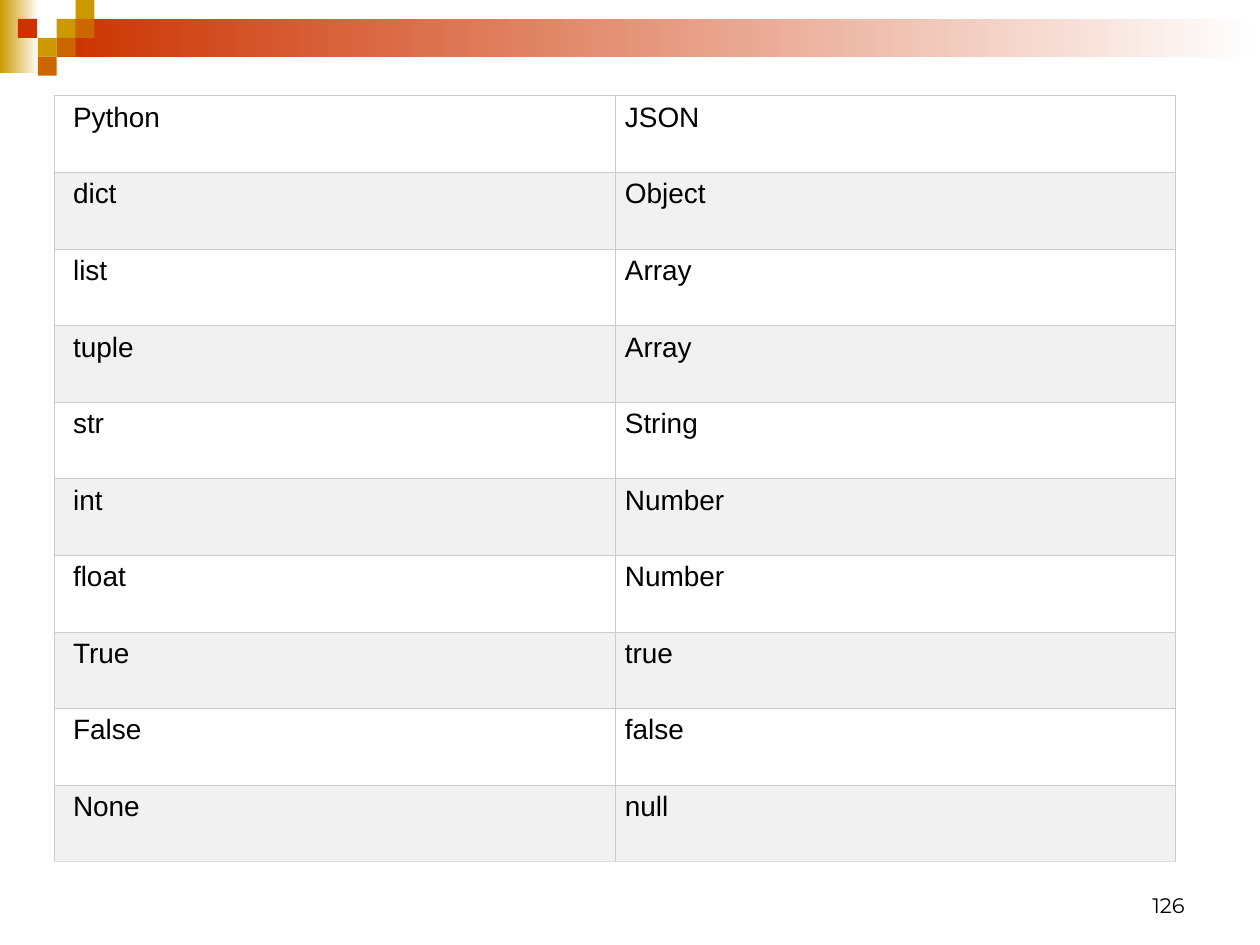
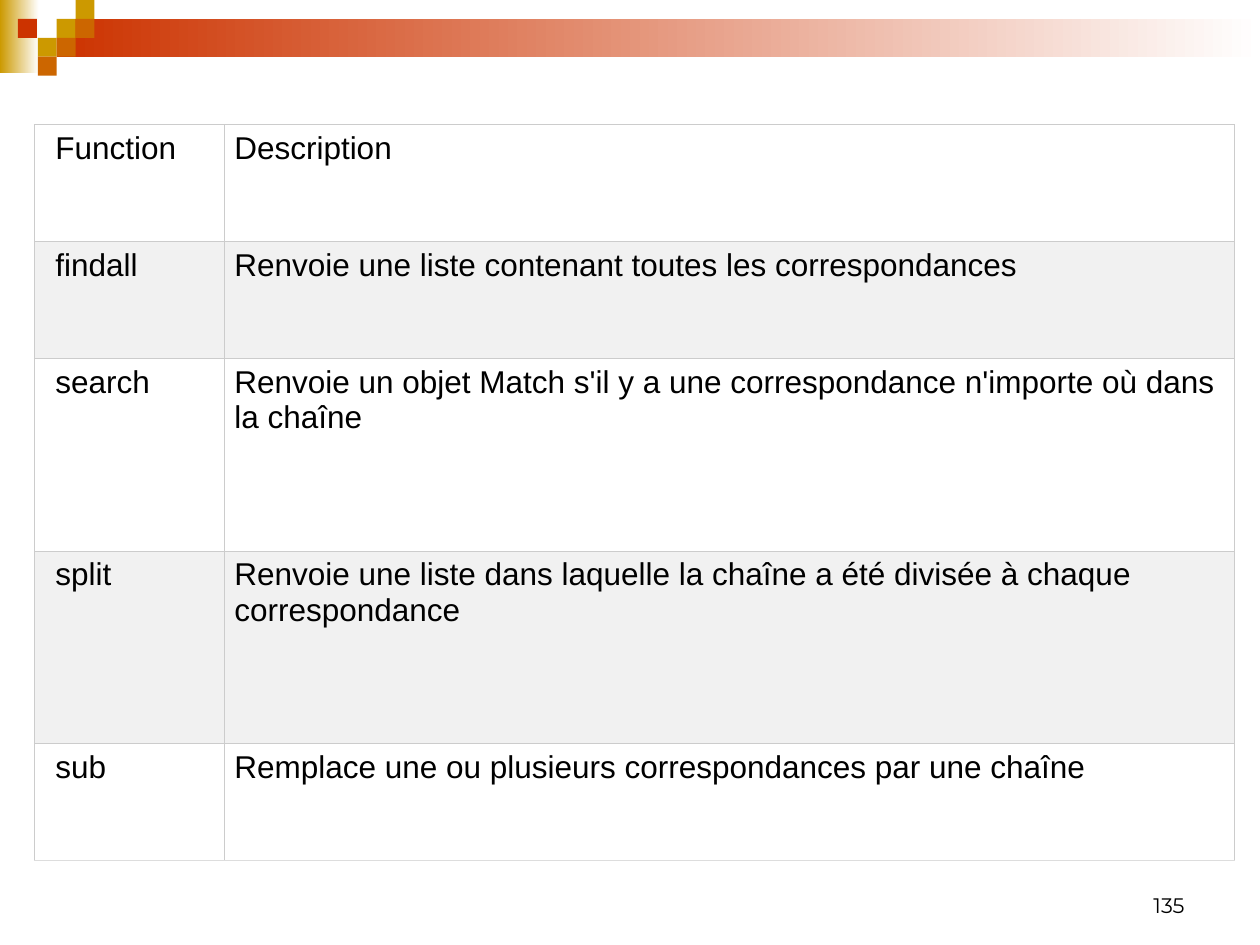
import pptx
import pptx.dml.color
import pptx.enum.shapes
import pptx.enum.text
import pptx.util
import pptx.oxml
import pptx.oxml.ns

RGBColor = pptx.dml.color.RGBColor
GOLD = RGBColor(0xCC, 0x99, 0x00)
RED = RGBColor(0xCC, 0x33, 0x00)
ORANGE = RGBColor(0xCC, 0x66, 0x00)
WHITE = RGBColor(0xFF, 0xFF, 0xFF)
BLACK = RGBColor(0x00, 0x00, 0x00)
STRIPE = RGBColor(0xF1, 0xF1, 0xF1)
RULE = RGBColor(0xCC, 0xCC, 0xCC)
LAST_RULE = RGBColor(0xDD, 0xDD, 0xDD)

SLIDE_WIDTH = pptx.util.Inches(10)
SLIDE_HEIGHT = pptx.util.Inches(7.5)
TILE = pptx.util.Inches(0.15)
RULE_WIDTH = pptx.util.Pt(0.34)

# Mosaic tiles as (column, row, colour) on the tile grid
TILES = [
    (3, 1, GOLD), (4, 0, GOLD), (4, 1, ORANGE), (2, 2, GOLD),
    (0.95, 1, RED), (3, 2, ORANGE), (2, 3, ORANGE),
]

TYPE_ROWS = [
    ("Python", "JSON"),
    ("dict", "Object"),
    ("list", "Array"),
    ("tuple", "Array"),
    ("str", "String"),
    ("int", "Number"),
    ("float", "Number"),
    ("True", "true"),
    ("False", "false"),
    ("None", "null"),
]

FUNCTION_ROWS = [
    ("Function", "Description"),
    ("findall", "Renvoie une liste contenant toutes les correspondances"),
    ("search", "Renvoie un objet Match s'il y a une correspondance "
               "n'importe où dans la chaîne"),
    ("split", "Renvoie une liste dans laquelle la chaîne a été divisée "
              "à chaque correspondance"),
    ("sub", "Remplace une ou plusieurs correspondances par une chaîne"),
]


def across(percent):
    return round(SLIDE_WIDTH * percent / 100)


def down(percent):
    return round(SLIDE_HEIGHT * percent / 100)


def write_text(text_frame, text, size, font="Arial", color=BLACK, align=None):
    paragraph = text_frame.paragraphs[0]
    paragraph.alignment = align
    run = paragraph.add_run()
    run.text = text
    run.font.size = pptx.util.Pt(size)
    run.font.name = font
    run.font.color.rgb = color


def add_block(group, column, row, columns, rows, color, fade=False):
    """Add a rectangle measured in tiles, solid or fading to white."""
    block = group.shapes.add_shape(
        pptx.enum.shapes.MSO_SHAPE.RECTANGLE,
        *(round(TILE * length) for length in (column, row, columns, rows)))
    block.shadow.inherit = False
    block.line.fill.background()
    if fade:
        block.fill.gradient()
        block.fill.gradient_angle = 0
        for stop, stop_color in zip(block.fill.gradient_stops, (color, WHITE)):
            stop.color.rgb = stop_color
    else:
        block.fill.solid()
        block.fill.fore_color.rgb = color


def decorate_layout(layout, slide):
    """Build the header band and mosaic, then move them to the layout."""
    for placeholder in list(layout.placeholders):
        layout.shapes.element.remove(placeholder.element) if hasattr(
            layout.shapes, "element") and layout.shapes.element is \
            placeholder.element.getparent() else \
            placeholder.element.getparent().remove(placeholder.element)
    header = slide.shapes.add_group_shape()
    add_block(header, 0, 0, 2.05, 3.85, GOLD, fade=True)
    add_block(header, 3, 1, SLIDE_WIDTH / TILE - 3, 2, RED, fade=True)
    for column, row, color in TILES:
        add_block(header, column, row, 1, 1, color)
    layout.element.cSld.spTree.append(header.element)


def set_borders(cell, bottom):
    properties = cell._tc.get_or_add_tcPr()
    sides = {"lnL": RULE, "lnR": RULE, "lnT": RULE, "lnB": bottom}
    for position, (side, color) in enumerate(sides.items()):
        properties.insert(position, pptx.oxml.parse_xml(
            f'<a:{side} {pptx.oxml.ns.nsdecls("a")} w="{RULE_WIDTH}">'
            f'<a:solidFill><a:srgbClr val="{color}"/></a:solidFill></a:{side}>'))


def add_striped_table(slide, rows, place, column_shares, row_shares, size, indent):
    """Add a two-column table; place is left, top, width, height in percent."""
    left, top, width, height = place
    frame = slide.shapes.add_table(
        len(rows), len(column_shares),
        across(left), down(top), across(width), down(height))
    table = frame.table
    table.first_row = False
    table.horz_banding = False
    for column, share in zip(table.columns, column_shares):
        column.width = round(across(width) * share / sum(column_shares))
    for row, share in zip(table.rows, row_shares):
        row.height = round(down(height) * share / sum(row_shares))

    for row_index, texts in enumerate(rows):
        is_last = row_index == len(rows) - 1
        for column_index, text in enumerate(texts):
            cell = table.cell(row_index, column_index)
            cell.margin_left = pptx.util.Inches(0.08 if column_index else indent)
            cell.margin_right = pptx.util.Inches(0.08)
            cell.margin_top = cell.margin_bottom = pptx.util.Inches(0.05)
            cell.fill.solid()
            cell.fill.fore_color.rgb = STRIPE if row_index % 2 else WHITE
            set_borders(cell, bottom=LAST_RULE if is_last else RULE)
            write_text(cell.text_frame, text, size)


def add_page_number(slide, number):
    box = slide.shapes.add_textbox(
        across(71.7), down(91.07), across(23.3), down(6.67))
    box.text_frame.word_wrap = True
    box.text_frame.vertical_anchor = pptx.enum.text.MSO_ANCHOR.BOTTOM
    write_text(box.text_frame, str(number), 12, font="Montserrat",
               align=pptx.enum.text.PP_ALIGN.RIGHT)


def main():
    presentation = pptx.Presentation()
    presentation.slide_width = SLIDE_WIDTH
    presentation.slide_height = SLIDE_HEIGHT
    layout = presentation.slide_layouts.get_by_name("Blank")

    # Python types and their JSON counterparts
    types_slide = presentation.slides.add_slide(layout)
    decorate_layout(layout, types_slide)
    add_striped_table(types_slide, TYPE_ROWS, (4.3, 10.13, 89, 81.07),
                      column_shares=(1, 1), row_shares=[1] * len(TYPE_ROWS),
                      size=16, indent=0.15)
    add_page_number(types_slide, 126)

    # Regular expression functions
    functions_slide = presentation.slides.add_slide(layout)
    add_striped_table(functions_slide, FUNCTION_ROWS, (2.7, 13.2, 95.3, 77.87),
                      column_shares=(1.51, 8.02),
                      row_shares=(0.93, 0.93, 1.53, 1.53, 0.93),
                      size=18, indent=0.17)
    add_page_number(functions_slide, 135)

    presentation.save("out.pptx")


if __name__ == "__main__":
    main()
